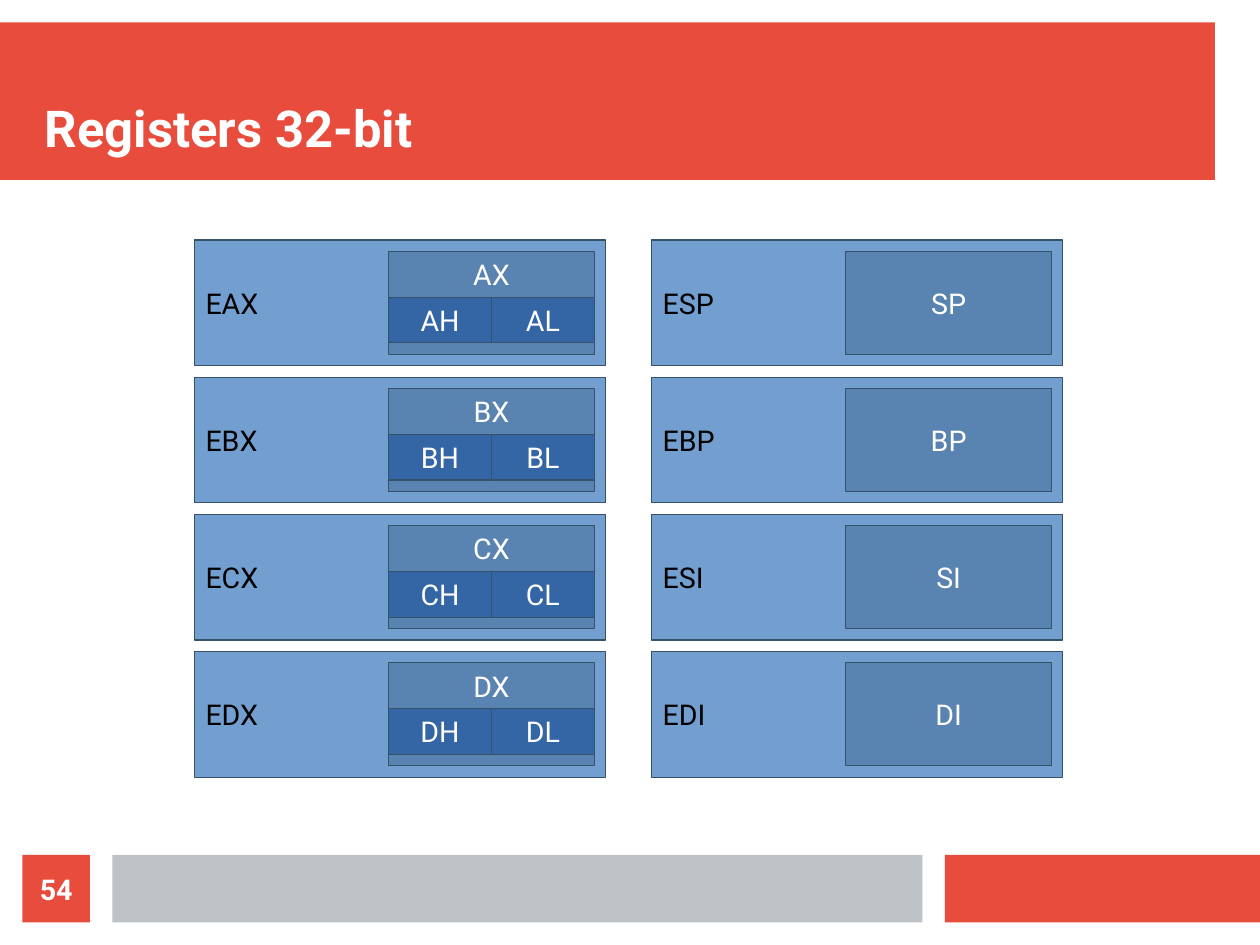
import pptx
import pptx.util
import pptx.dml.color
import pptx.enum.shapes
import pptx.enum.text

Cm = pptx.util.Cm
Inches = pptx.util.Inches
RGBColor = pptx.dml.color.RGBColor
PP_ALIGN = pptx.enum.text.PP_ALIGN
MSO_ANCHOR = pptx.enum.text.MSO_ANCHOR

RED = RGBColor(0xE7, 0x4C, 0x3C)
GRAY = RGBColor(0xBD, 0xC3, 0xC7)
LIGHT_BLUE = RGBColor(0x72, 0x9F, 0xCF)
MID_BLUE = RGBColor(0x59, 0x83, 0xB0)
DARK_BLUE = RGBColor(0x34, 0x65, 0xA4)
OUTLINE = RGBColor(0x35, 0x52, 0x69)
BLACK = RGBColor(0, 0, 0)
WHITE = RGBColor(0xFF, 0xFF, 0xFF)

# The page and its frame are laid out in centimetres, the registers in inches
WIDTH, HEIGHT = 28, 21

presentation = pptx.Presentation()
presentation.slide_width = Cm(WIDTH)
presentation.slide_height = Cm(HEIGHT)
slide = presentation.slides.add_slide(presentation.slide_layouts[6])


def write(shape, text, color=WHITE, size=18, bold=False, align=PP_ALIGN.CENTER,
          anchor=MSO_ANCHOR.MIDDLE, inset=(0.1, 0.05)):
    frame = shape.text_frame
    frame.word_wrap = True
    frame.vertical_anchor = anchor
    frame.margin_left = frame.margin_right = Inches(inset[0])
    frame.margin_top = frame.margin_bottom = Inches(inset[1])
    paragraph = frame.paragraphs[0]
    paragraph.text = text
    paragraph.alignment = align
    paragraph.font.name = "Roboto"
    paragraph.font.size = pptx.util.Pt(size)
    paragraph.font.bold = bold
    paragraph.font.color.rgb = color


def add_box(left, top, width, height, fill, outline=None, unit=Inches):
    box = slide.shapes.add_shape(
        pptx.enum.shapes.MSO_SHAPE.RECTANGLE,
        unit(left), unit(top), unit(width), unit(height))
    box.shadow.inherit = False
    box.fill.solid()
    box.fill.fore_color.rgb = fill
    if outline is None:
        box.line.fill.background()
    else:
        box.line.color.rgb = outline
        box.line.width = pptx.util.Pt(0)
    return box


# Title band
add_box(0, 0.5, WIDTH - 1, 3.5, RED, unit=Cm)
title = slide.shapes.add_textbox(Cm(1), Cm(1), Cm(WIDTH - 2), Cm(2.5))
write(title, "Registers 32-bit", size=32, bold=True, align=PP_ALIGN.LEFT,
      anchor=MSO_ANCHOR.BOTTOM, inset=(0, 0))

# Footer with the page number
FOOTER_HEIGHT = 1.5
FOOTER_TOP = HEIGHT - FOOTER_HEIGHT - 0.5
add_box(21, FOOTER_TOP, WIDTH - 21, FOOTER_HEIGHT, RED, unit=Cm)
add_box(2.5, FOOTER_TOP, 18, FOOTER_HEIGHT, GRAY, unit=Cm)
page_number = add_box(0.5, FOOTER_TOP, FOOTER_HEIGHT, FOOTER_HEIGHT, RED, unit=Cm)
write(page_number, "54", bold=True, inset=(0, 0))

# Register grid: the 32-bit register holds its 16-bit half,
# and the general-purpose column also shows the 8-bit parts
GRID_LEFT, GRID_TOP = 1.7, 2.1
COLUMN_STEP, ROW_STEP = 4, 1.2
HALF_WIDTH, HALF_HEIGHT = 1.8, 0.9
BYTE_WIDTH, BYTE_HEIGHT = HALF_WIDTH / 2, 0.4

register_columns = [["AX", "BX", "CX", "DX"], ["SP", "BP", "SI", "DI"]]
for column, registers in enumerate(register_columns):
    for row, register in enumerate(registers):
        left = GRID_LEFT + column * COLUMN_STEP
        top = GRID_TOP + row * ROW_STEP
        has_bytes = register.endswith("X")

        full_register = add_box(left, top, 3.6, 1.1, LIGHT_BLUE, OUTLINE)
        write(full_register, "E" + register, color=BLACK, align=PP_ALIGN.LEFT)

        half_left, half_top = left + 1.7, top + 0.1
        half_register = add_box(half_left, half_top, HALF_WIDTH, HALF_HEIGHT, MID_BLUE, OUTLINE)
        write(half_register, register,
              anchor=MSO_ANCHOR.TOP if has_bytes else MSO_ANCHOR.MIDDLE)

        if has_bytes:
            for position, suffix in enumerate("HL"):
                byte_register = add_box(
                    half_left + position * BYTE_WIDTH, half_top + BYTE_HEIGHT,
                    BYTE_WIDTH, BYTE_HEIGHT, DARK_BLUE, OUTLINE)
                write(byte_register, register[0] + suffix)

presentation.save("out.pptx")
